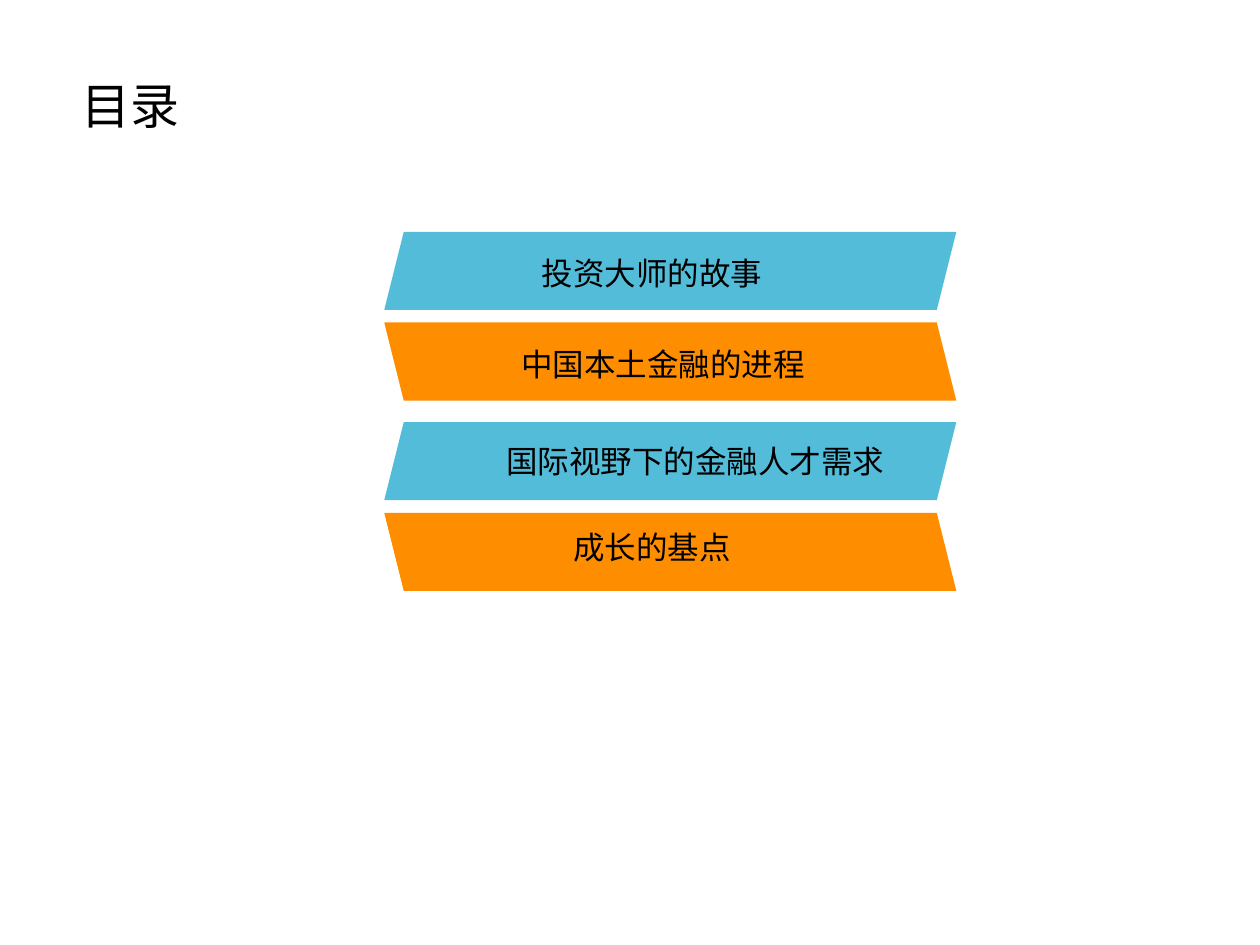
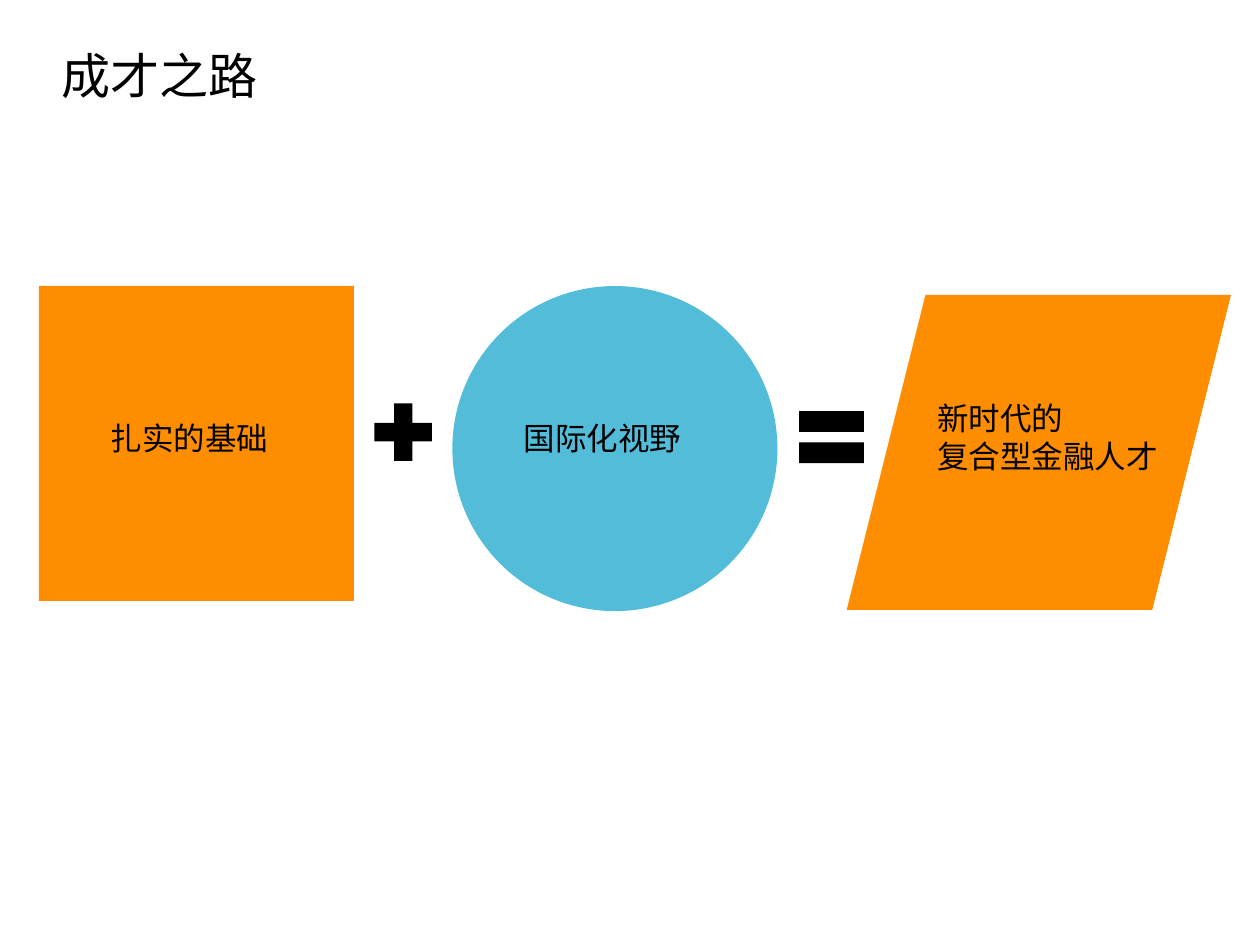
"""Build the contents slide and the growth path slide."""
from dataclasses import dataclass

import pptx
import pptx.dml.color
import pptx.enum.shapes
import pptx.enum.text
import pptx.oxml.ns
import pptx.oxml.xmlchemy
import pptx.shapes.autoshape
import pptx.shapes.shapetree
import pptx.slide
import pptx.util
from lxml import etree

Inches = pptx.util.Inches
Kind = pptx.enum.shapes.MSO_SHAPE
BLUE, ORANGE, BLACK = "53BCD8", "FF8D00", "000000"
FACE = "Noto Sans CJK SC"
BAND_LEFT, BAND_WIDE, BAND_HIGH, BAND_STEP = 3.05, 4.54, 0.62, 0.72


@dataclass
class Form:
    """A filled preset shape, in inches."""
    kind: Kind
    left: float
    top: float
    width: float
    height: float
    fill: str
    flip: bool = False


@dataclass
class Label:
    """A text box with one or more lines, in inches."""
    text: str
    left: float
    top: float
    width: float
    height: float = 0.4
    size: int = 18
    wrap: bool = False


def color(code: str) -> pptx.dml.color.RGBColor:
    """Turn a hex string into a colour."""
    return pptx.dml.color.RGBColor.from_string(code)


def draw(shapes: pptx.shapes.shapetree._BaseGroupShapes, form: Form) -> None:
    """Draw a form without line or shadow."""
    box = map(Inches, (form.left, form.top, form.width, form.height))
    shape = shapes.add_shape(form.kind, *box)
    shape.shadow.inherit = False
    shape.fill.solid()
    shape.fill.fore_color.rgb = color(form.fill)
    shape.line.fill.background()
    if form.flip:
        shape.element.spPr.xfrm.set("flipV", "1")


def write(slide: pptx.slide.Slide, label: Label) -> None:
    """Write a label, one paragraph a line."""
    box = map(Inches, (label.left, label.top, label.width, label.height))
    frame = slide.shapes.add_textbox(*box).text_frame
    frame.word_wrap = label.wrap
    frame.auto_size = pptx.enum.text.MSO_AUTO_SIZE.SHAPE_TO_FIT_TEXT
    frame.text = label.text
    qn = pptx.oxml.ns.qn
    for para in frame.paragraphs:
        para.font.size = pptx.util.Pt(label.size)
        para.font.color.rgb = color(BLACK)
        para.font.name = FACE
        props = para._p.pPr.find(qn("a:defRPr"))
        etree.SubElement(props, qn("a:ea")).set("typeface", FACE)


def title(slide: pptx.slide.Slide, text: str, left: float, top: float,
          width: float, wrap: bool = False) -> None:
    """Write a slide title."""
    write(slide, Label(text, left, top, width, 0.57, 28, wrap))


def agenda(slide: pptx.slide.Slide) -> None:
    """Draw the contents as two pairs of bands."""
    for top in (1.84, 3.35):
        pair = slide.shapes.add_group_shape().shapes
        for row, fill in enumerate((BLUE, ORANGE)):
            draw(pair, Form(Kind.PARALLELOGRAM, BAND_LEFT,
                            top + row * BAND_STEP, BAND_WIDE, BAND_HIGH,
                            fill, flip=row == 1))
    title(slide, "目录", 0.55, 0.55, 3.2, wrap=True)
    for label in (
        Label("投资大师的故事", 4.2, 1.97, 1.97),
        Label("中国本土金融的进程", 4.04, 2.69, 2.47),
        Label("国际视野下的金融人才需求", 3.92, 3.46, 3.23),
        Label("成长的基点", 4.45, 4.14, 1.46),
    ):
        write(slide, label)


def growth(slide: pptx.slide.Slide) -> None:
    """Draw the sum that leads to new talent."""
    for form in (
        Form(Kind.RECTANGLE, 0.31, 2.27, 2.5, 2.5, ORANGE),
        Form(Kind.OVAL, 3.59, 2.27, 2.58, 2.58, BLUE),
        Form(Kind.MATH_PLUS, 2.89, 3.12, 0.62, 0.62, BLACK),
        Form(Kind.MATH_EQUAL, 6.25, 3.12, 0.7, 0.7, BLACK),
        Form(Kind.PARALLELOGRAM, 6.72, 2.34, 3.05, 2.5, ORANGE),
    ):
        draw(slide.shapes, form)
    title(slide, "成才之路", 0.39, 0.31, 1.77)
    for label in (
        Label("扎实的基础", 0.78, 3.28, 1.46),
        Label("国际化视野", 4.06, 3.28, 1.46),
        Label("新时代的\n复合型金融人才", 7.34, 3.12, 1.97, 0.71),
    ):
        write(slide, label)


def main() -> None:
    """Build and save the deck."""
    deck = pptx.Presentation()
    deck.slide_width, deck.slide_height = Inches(10), Inches(7.5)
    for build in (agenda, growth):
        build(deck.slides.add_slide(deck.slide_layouts[6]))
    deck.save("out.pptx")


if __name__ == "__main__":
    main()
